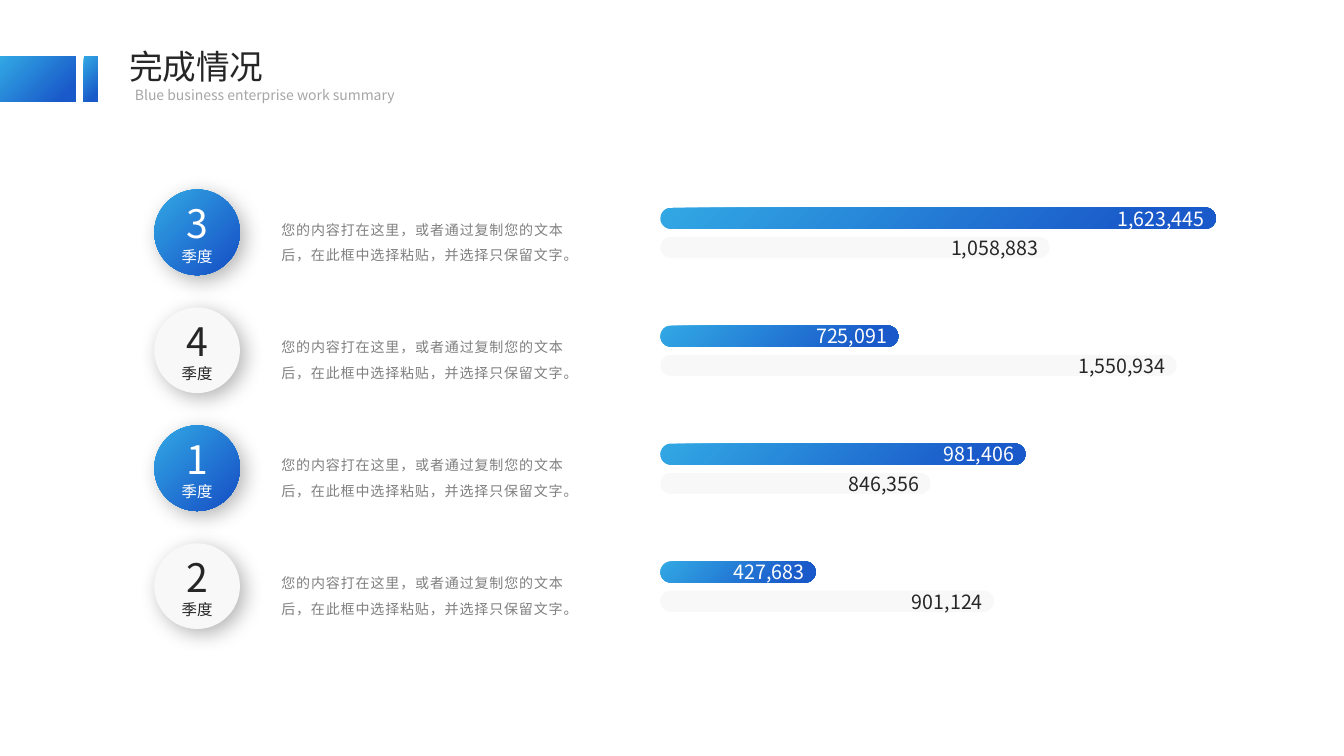
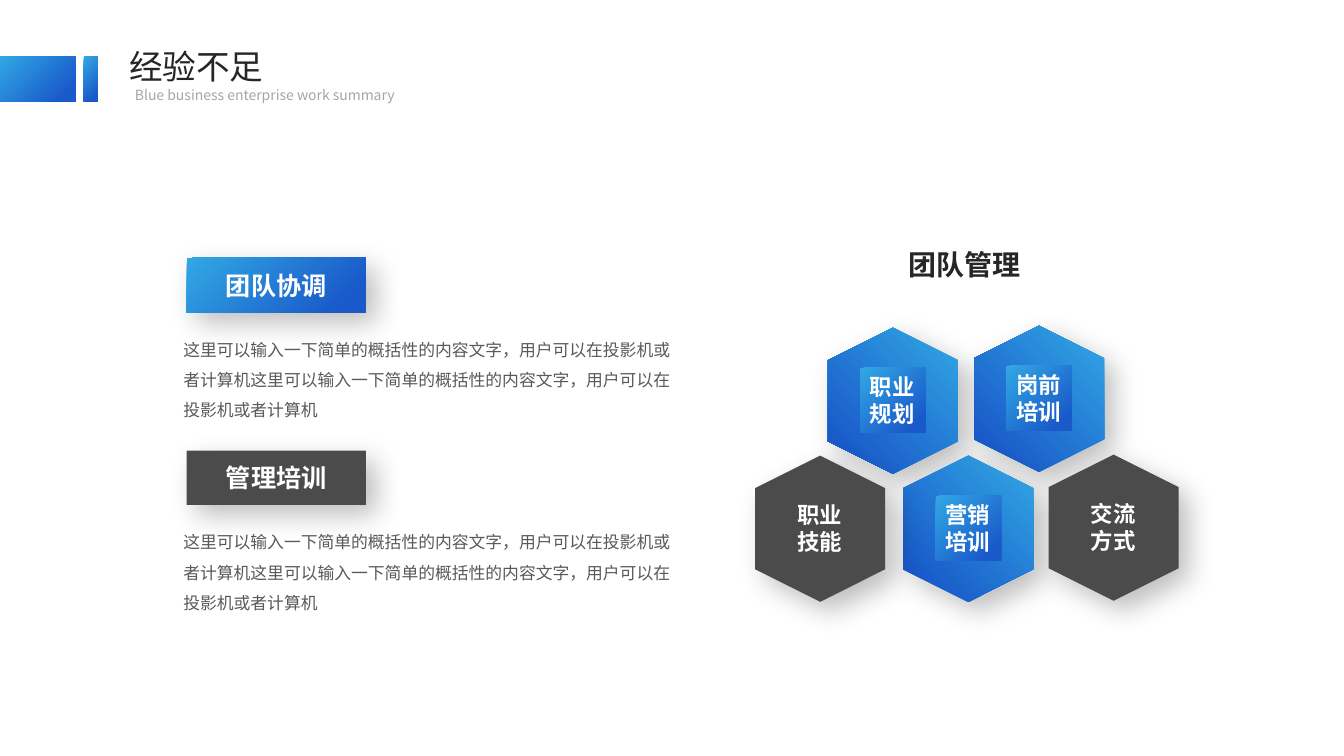
"""Build two work-summary slides: quarterly completion and team experience."""
from dataclasses import dataclass
from typing import Optional, Sequence

from lxml import etree
from pptx import Presentation
from pptx.dml.color import RGBColor
from pptx.enum.shapes import MSO_SHAPE
from pptx.enum.text import MSO_ANCHOR, MSO_AUTO_SIZE, PP_ALIGN
from pptx.oxml.ns import qn
from pptx.shapes.autoshape import Shape
from pptx.slide import Slide
from pptx.util import Inches, Pt

RECT, PILL = MSO_SHAPE.RECTANGLE, MSO_SHAPE.ROUNDED_RECTANGLE
OVAL, HEXAGON = MSO_SHAPE.OVAL, MSO_SHAPE.HEXAGON
LEFT, CENTER, RIGHT, JUSTIFY = PP_ALIGN.LEFT, PP_ALIGN.CENTER, PP_ALIGN.RIGHT, PP_ALIGN.JUSTIFY
TOP, MIDDLE = MSO_ANCHOR.TOP, MSO_ANCHOR.MIDDLE
NO_AUTOFIT = MSO_AUTO_SIZE.NONE

SKY = RGBColor(0x32, 0xA8, 0xE4)
BLUE = RGBColor(0x19, 0x59, 0xC9)
WHITE = RGBColor(0xFF, 0xFF, 0xFF)
PALE = RGBColor(0xF8, 0xF8, 0xF8)
INK = RGBColor(0x26, 0x26, 0x26)
CHARCOAL = RGBColor(0x4B, 0x4B, 0x4B)
BODY_GRAY = RGBColor(0x59, 0x59, 0x59)
NOTE_GRAY = RGBColor(0x80, 0x80, 0x80)
SUBTITLE_GRAY = RGBColor(0xA6, 0xA6, 0xA6)

FONT = "Noto Sans CJK SC"
TITLE_ONLY = 5
SUBTITLE = "Blue business enterprise work summary"
QUARTER_NOTE = "您的内容打在这里，或者通过复制您的文本后，在此框中选择粘贴，并选择只保留文字。"
TOPIC_BODY = (
    "这里可以输入一下简单的概括性的内容文字，用户可以在投影机或者计算机"
    "这里可以输入一下简单的概括性的内容文字，用户可以在投影机或者计算机"
)


@dataclass(frozen=True)
class Box:
    """A position and size in inches."""
    left: float
    top: float
    width: float
    height: float

    def lengths(self) -> tuple[int, int, int, int]:
        """Return the four values as lengths."""
        return Inches(self.left), Inches(self.top), Inches(self.width), Inches(self.height)


@dataclass(frozen=True)
class Line:
    """One paragraph of text and its look."""
    text: str
    size: float
    color: RGBColor
    bold: bool = False
    spacing: float = 0


@dataclass(frozen=True)
class Shadow:
    """An outer shadow: opacity in percent, blur and distance in points."""
    opacity: int
    blur: int
    distance: int


@dataclass(frozen=True)
class Bar:
    """A labelled bar with its length in inches."""
    value: str
    length: float


@dataclass(frozen=True)
class Quarter:
    """One row of the completion slide."""
    number: str
    upper: Bar
    lower: Bar


@dataclass(frozen=True)
class Cell:
    """One hexagon of the team cluster."""
    words: tuple[str, str]
    left: float
    top: float
    blue: bool


@dataclass(frozen=True)
class Topic:
    """A heading banner with its paragraph."""
    heading: str
    top: float
    blue: bool


CIRCLE_SHADOW = Shadow(30, 15, 5)
PANEL_SHADOW = Shadow(25, 20, 10)
BANDS = (Box(0, 0.56, 0.75, 0.45), Box(0.83, 0.56, 0.14, 0.45))
ROW_TOP, ROW_PITCH = 1.88, 1.17
QUARTERS = (
    Quarter("3", Bar("1,623,445", 5.51), Bar("1,058,883", 3.86)),
    Quarter("4", Bar("725,091", 2.36), Bar("1,550,934", 5.12)),
    Quarter("1", Bar("981,406", 3.62), Bar("846,356", 2.68)),
    Quarter("2", Bar("427,683", 1.54), Bar("901,124", 3.31)),
)
CELLS = (
    Cell(("职业", "规划"), 8.13, 3.33, True),
    Cell(("岗前", "培训"), 9.58, 3.31, True),
    Cell(("营销", "培训"), 8.88, 4.6, True),
    Cell(("交流", "方式"), 10.32, 4.59, False),
    Cell(("职业", "技能"), 7.41, 4.6, False),
)
TOPICS = (Topic("团队协调", 2.56, True), Topic("管理培训", 4.47, False))


def write(
    shape: Shape,
    lines: Sequence[Line],
    align: PP_ALIGN = LEFT,
    anchor: MSO_ANCHOR = TOP,
    wrap: bool = True,
    insets: tuple[float, float, float, float] = (0.1, 0.05, 0.1, 0.05),
    line_spacing: Optional[float] = None,
) -> None:
    """Fill a shape with paragraphs, one run each."""
    frame = shape.text_frame
    frame.auto_size = NO_AUTOFIT
    frame.word_wrap = wrap
    frame.vertical_anchor = anchor
    frame.margin_left, frame.margin_top, frame.margin_right, frame.margin_bottom = map(Inches, insets)
    for index, line in enumerate(lines):
        paragraph = frame.add_paragraph() if index else frame.paragraphs[0]
        paragraph.alignment = align
        if line_spacing is not None:
            paragraph.line_spacing = line_spacing
        run = paragraph.add_run()
        run.text = line.text
        run.font.size = Pt(line.size)
        run.font.bold = line.bold
        run.font.color.rgb = line.color
        run.font.name = FONT
        properties = run.font._element
        etree.SubElement(properties, qn("a:ea"), typeface=FONT)
        if line.spacing:
            properties.set("spc", str(round(line.spacing * 100)))


def cast_shadow(shape: Shape, shadow: Shadow) -> None:
    """Give a shape a soft black shadow towards the lower right."""
    effects = shape.element.spPr.find(qn("a:effectLst"))
    outer = etree.SubElement(
        effects, qn("a:outerShdw"), blurRad=str(Pt(shadow.blur)),
        dist=str(Pt(shadow.distance)), dir="2700000", algn="tl", rotWithShape="0",
    )
    black = etree.SubElement(outer, qn("a:srgbClr"), val="000000")
    etree.SubElement(black, qn("a:alpha"), val=str(shadow.opacity * 1000))


def add_panel(
    slide: Slide, kind: MSO_SHAPE, box: Box,
    color: Optional[RGBColor] = None, shadow: Optional[Shadow] = None,
) -> Shape:
    """Add an unlined shape, with the blue gradient unless a colour is given."""
    shape = slide.shapes.add_shape(kind, *box.lengths())
    if color is None:
        shape.fill.gradient()
        shape.fill.gradient_angle = 315
        for stop, stop_color, position in zip(shape.fill.gradient_stops, (SKY, BLUE), (0, 0.87)):
            stop.color.rgb = stop_color
            stop.position = position
    else:
        shape.fill.solid()
        shape.fill.fore_color.rgb = color
    shape.line.fill.background()
    shape.shadow.inherit = False
    if shadow:
        cast_shadow(shape, shadow)
    return shape


def add_text(slide: Slide, box: Box) -> Shape:
    """Add an empty text box."""
    return slide.shapes.add_textbox(*box.lengths())


def add_titled_slide(deck: Presentation, title: str) -> Slide:
    """Add a slide with the bands, title and subtitle."""
    slide = deck.slides.add_slide(deck.slide_layouts[TITLE_ONLY])
    for band in BANDS:
        add_panel(slide, RECT, band)
    heading = slide.shapes.title
    heading.left, heading.top, heading.width, heading.height = Box(1.18, 0.41, 1.55, 0.5).lengths()
    write(heading, [Line(title, 24, INK)], wrap=False)
    subtitle = add_text(slide, Box(1.24, 0.81, 2.77, 0.27))
    write(subtitle, [Line(SUBTITLE, 10, SUBTITLE_GRAY)], wrap=False)
    return slide


def add_bar(slide: Slide, bar: Bar, top: float, fill: Optional[RGBColor], ink: RGBColor) -> None:
    """Add a rounded bar with its value at the right end."""
    pill = add_panel(slide, PILL, Box(6.55, top, bar.length, 0.21), fill)
    pill.adjustments[0] = 0.5
    write(pill, [Line(bar.value, 14, ink)], RIGHT, MIDDLE, insets=(0, 0.05, 0.08, 0.05))


def add_quarter(slide: Slide, quarter: Quarter, row: int) -> None:
    """Add one row: circle, note and two bars."""
    top = ROW_TOP + row * ROW_PITCH
    fill, ink = (PALE, INK) if row % 2 else (None, WHITE)
    add_bar(slide, quarter.upper, top + 0.18, None, WHITE)
    add_bar(slide, quarter.lower, top + 0.47, PALE, INK)
    note = add_text(slide, Box(2.79, top + 0.23, 2.8, 0.48))
    write(note, [Line(QUARTER_NOTE, 10, NOTE_GRAY, spacing=0.5)], JUSTIFY,
          insets=(0, 0, 0, 0), line_spacing=Pt(18))
    circle = add_panel(slide, OVAL, Box(1.53, top, 0.85, 0.85), fill, CIRCLE_SHADOW)
    write(circle, [Line(quarter.number, 28, ink), Line("季度", 11, ink)], CENTER, MIDDLE)


def add_cell(slide: Slide, cell: Cell) -> None:
    """Add an upright hexagon with a two-line label plate."""
    fill = None if cell.blue else CHARCOAL
    hexagon = add_panel(slide, HEXAGON, Box(cell.left, cell.top, 1.45, 1.29), fill, PANEL_SHADOW)
    hexagon.rotation = 90
    plate = add_panel(slide, RECT, Box(cell.left + 0.4, cell.top + 0.32, 0.65, 0.64), fill)
    write(plate, [Line(word, 16, WHITE, bold=True) for word in cell.words], wrap=False)


def add_topic(slide: Slide, topic: Topic) -> None:
    """Add a heading banner and the paragraph below it."""
    fill = None if topic.blue else CHARCOAL
    banner = add_panel(slide, RECT, Box(1.85, topic.top, 1.78, 0.54), fill, PANEL_SHADOW)
    write(banner, [Line(topic.heading, 18, WHITE, bold=True)], CENTER, MIDDLE)
    body = add_text(slide, Box(1.72, topic.top + 0.66, 5.04, 1.31))
    write(body, [Line(TOPIC_BODY, 12, BODY_GRAY)], line_spacing=1.5)


def build_completion(deck: Presentation) -> None:
    """Build the quarterly completion slide."""
    slide = add_titled_slide(deck, "完成情况")
    for row, quarter in enumerate(QUARTERS):
        add_quarter(slide, quarter, row)


def build_experience(deck: Presentation) -> None:
    """Build the team experience slide."""
    slide = add_titled_slide(deck, "经验不足")
    for cell in CELLS:
        add_cell(slide, cell)
    cluster_title = add_text(slide, Box(8.91, 2.41, 1.32, 0.44))
    write(cluster_title, [Line("团队管理", 20, INK, bold=True)], wrap=False)
    for topic in TOPICS:
        add_topic(slide, topic)


def main() -> None:
    """Build and save the deck."""
    deck = Presentation()
    deck.slide_width, deck.slide_height = Inches(13.33), Inches(7.5)
    build_completion(deck)
    build_experience(deck)
    deck.save("out.pptx")


if __name__ == "__main__":
    main()
